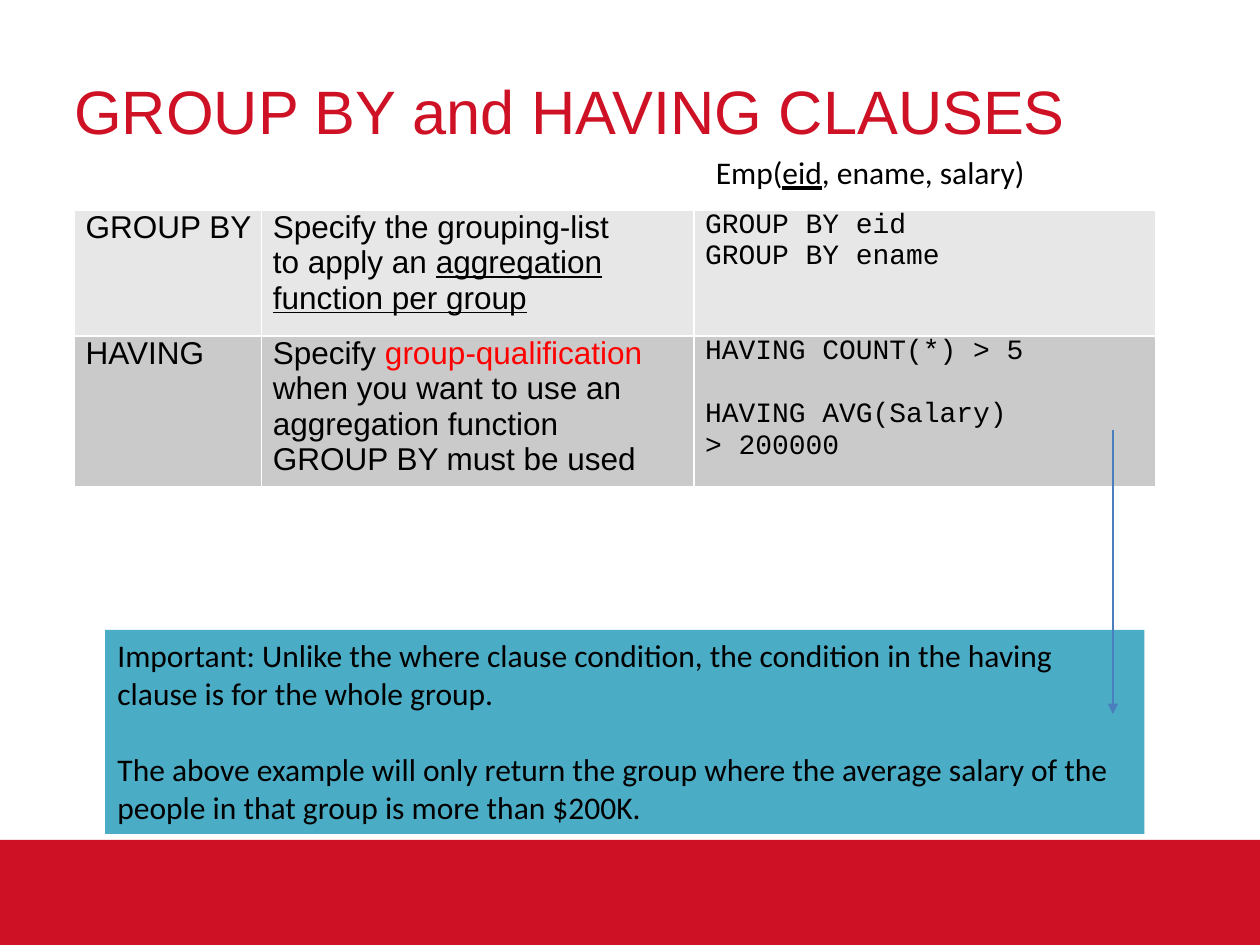
from lxml.etree import SubElement
from pptx import Presentation
from pptx.dml.color import RGBColor
from pptx.enum.shapes import MSO_CONNECTOR as CONN, MSO_SHAPE as SHAPE
from pptx.enum.text import MSO_ANCHOR as ANCHOR, PP_ALIGN as ALIGN
from pptx.oxml.ns import qn
from pptx.util import Pt


def rgb(hex_color):
    return RGBColor.from_string(hex_color)


def write(tf, paragraphs, font, size, color="000000"):
    """Each paragraph is (space before, runs); each run is (text, format)."""
    for i, (space, runs) in enumerate(paragraphs):
        p = tf.paragraphs[0] if i == 0 else tf.add_paragraph()
        p.alignment = ALIGN.LEFT
        p.space_before = Pt(space)
        for text, extra in runs:
            r = p.add_run()
            r.text = text
            style = {"name": font, "size": Pt(size), "color": color, **extra}
            r.font.color.rgb = rgb(style.pop("color"))
            for key, value in style.items():
                setattr(r.font, key, value)


prs = Presentation()
prs.slide_width, prs.slide_height = Pt(720), Pt(540)
s = prs.slides.add_slide(prs.slide_layouts[5])
no_margins = dict.fromkeys(
    ("margin_left", "margin_top", "margin_right", "margin_bottom"), 0)
underlined = {"underline": True}

# Title
title = s.shapes.title
title.left, title.top, title.width, title.height = Pt(42.5), Pt(42), Pt(636), Pt(42.5)
tf = title.text_frame
for key, value in {**no_margins, "vertical_anchor": ANCHOR.TOP, "word_wrap": True}.items():
    setattr(tf, key, value)
write(tf, [(0, [("GROUP BY and HAVING CLAUSES", {})])], "Arial", 35, "CE1125")

# Footer band and note box
boxes = []
for left, top, width, height, color in [(0, 480, 720, 60, "CE1125"),
                                        (60, 360, 594, 116.5, "4BACC6")]:
    sp = s.shapes.add_shape(SHAPE.RECTANGLE, Pt(left), Pt(top), Pt(width), Pt(height))
    sp.shadow.inherit = False
    sp.fill.solid()
    sp.fill.fore_color.rgb = rgb(color)
    sp.line.fill.background()
    boxes.append(sp)
band, note = boxes
tf = note.text_frame
tf.word_wrap = True
tf.vertical_anchor = ANCHOR.TOP
write(tf, [
    (0, [("Important: Unlike the where clause condition, the condition in the "
          "having clause is for the whole group.", {})]),
    (22, [("The above example will only return the group where the average salary "
           "of the people in that group is more than $200K.", {})]),
], "Calibri", 18)

# Relation schema
tf = s.shapes.add_textbox(Pt(402), Pt(84), Pt(197), Pt(29)).text_frame
tf.word_wrap = False
write(tf, [(0, [("Emp(", {}), ("eid", underlined), (", ename, salary)", {})])],
      "Calibri", 18)

# Clause table: row height, fill, right margin of the description, cells
rows = [
    (72, "E7E7E7", 43, [
        [(0, [("GROUP BY", {})])],
        [(0, [("Specify the grouping-list to apply an ", {}),
              ("aggregation function per group", underlined)])],
        [(0, [("GROUP BY eid", {})]), (0, [("GROUP BY ename", {})])],
    ]),
    (80, "CACACA", 20, [
        [(0, [("HAVING", {})])],
        [(0, [("Specify ", {}), ("group-qualification ", {"color": "FF0000"}),
              ("when you want to use an aggregation function", {})]),
         (0, [("GROUP BY must be used", {})])],
        [(0, [("HAVING COUNT(*) > 5", {})]),
         (18, [("HAVING AVG(Salary)", {})]),
         (0, [("> 200000", {})])],
    ]),
]
columns = [(107, "Arial", 18), (247, "Arial", 18), (264, "Courier New", 16)]
table = s.shapes.add_table(len(rows), len(columns), Pt(42.5), Pt(120),
                           Pt(618), Pt(152)).table
for column, (width, _, _) in zip(table.columns, columns):
    column.width = Pt(width)
for i, (height, fill, right, texts) in enumerate(rows):
    table.rows[i].height = Pt(height)
    for j, (text, (_, font, size)) in enumerate(zip(texts, columns)):
        cell = table.cell(i, j)
        margins = {**no_margins, "margin_left": Pt(6.5),
                   "margin_right": Pt(right if j == 1 else 0)}
        for key, value in margins.items():
            setattr(cell, key, value)
        write(cell.text_frame, text, font, size)
        # White borders come before the fill in the cell properties
        tcPr = cell._tc.get_or_add_tcPr()
        for side in ("a:lnL", "a:lnR", "a:lnT", "a:lnB"):
            ln = SubElement(tcPr, qn(side), w=str(Pt(1)))
            SubElement(SubElement(ln, qn("a:solidFill")), qn("a:srgbClr"), val="FFFFFF")
        cell.fill.solid()
        cell.fill.fore_color.rgb = rgb(fill)

# Arrow from the HAVING example to the note
arrow = s.shapes.add_connector(CONN.STRAIGHT, Pt(636), Pt(246), Pt(636), Pt(408))
arrow.line.color.rgb = rgb("4B7EBC")
arrow.line.width = Pt(0.75)
SubElement(arrow.line._get_or_add_ln(), qn("a:tailEnd"), type="triangle")
SubElement(arrow._element.spPr, qn("a:effectLst"))

prs.save("out.pptx")
